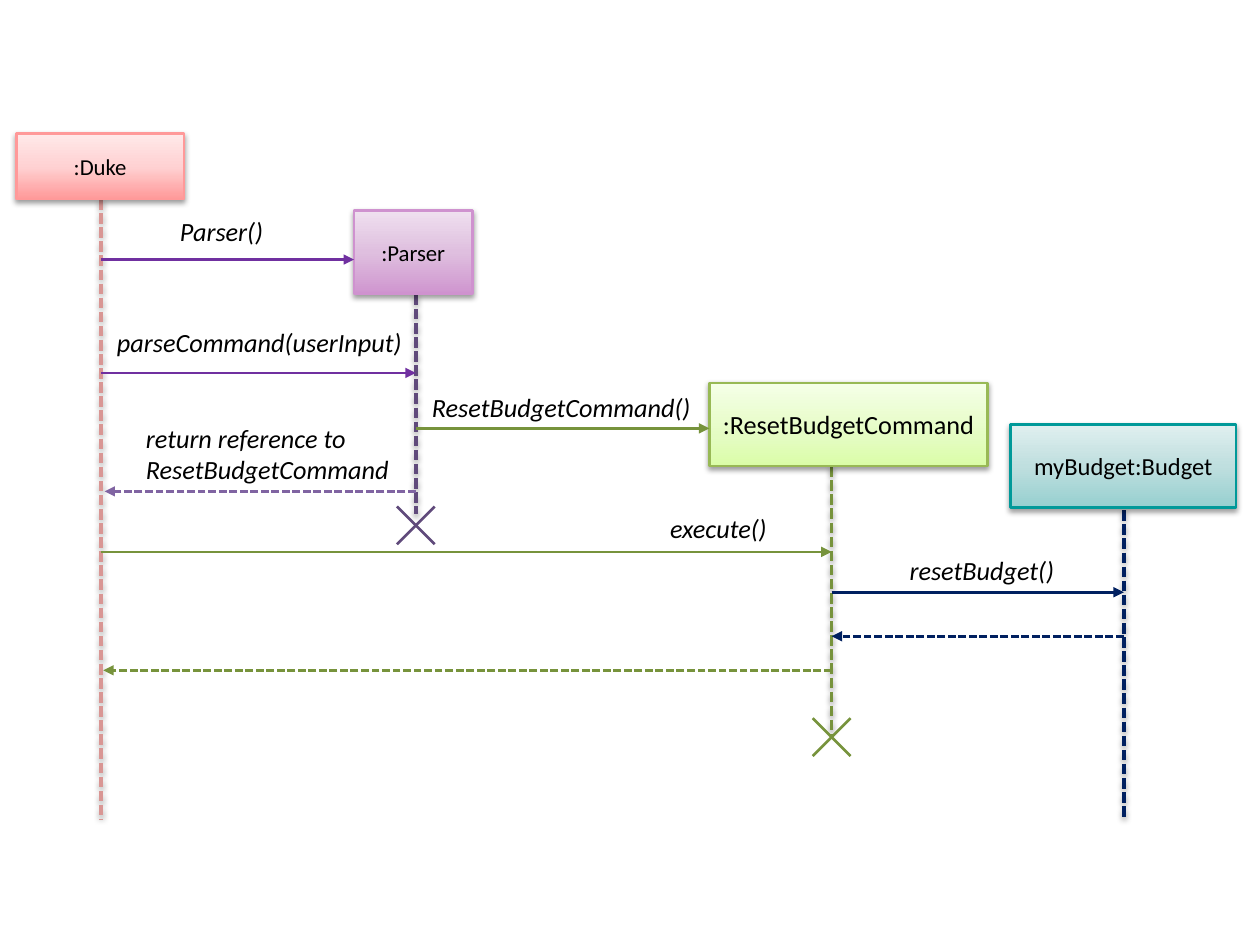
"""Build a sequence diagram slide for resetting a budget."""
import dataclasses

import lxml.etree
import pptx
import pptx.dml.color
import pptx.enum.dml
import pptx.enum.shapes
import pptx.enum.text
import pptx.oxml.ns
import pptx.util


@dataclasses.dataclass(frozen=True)
class Theme:
    font: str = "Calibri"
    ink: str = "000000"
    small: int = 13
    medium: int = 14
    large: int = 15
    thin: float = 1.5
    thick: float = 2
    rose: str = "D99694"
    purple: str = "604A7B"
    violet: str = "7030A0"
    lilac: str = "8064A2"
    green: str = "77933C"
    navy: str = "002060"
    duke: tuple = ("FF9999", ((0, "FF9999"), (50, "FFD2D3"), (100, "FFE9E9")))
    parser: tuple = ("CF92CF", ((0, "CF95CF"), (50, "DFBFDF"), (100, "EFE0EF")))
    command: tuple = ("98B955", ((0, "DAFDA7"), (35, "E4FCC2"), (100, "F5FFE7")))
    budget: tuple = ("009999", ((0, "95CFCF"), (50, "BFDFDF"), (100, "E0EFEF")))


THEME = Theme()
COLUMNS, ROWS = 100, 75
WIDTH, HEIGHT = pptx.util.Inches(10), pptx.util.Inches(7.5)
DUKE, PARSER, COMMAND, BUDGET = 8, 33, 66, 89.2


def across(columns):
    return round(WIDTH * columns / COLUMNS)


def down(rows):
    return round(HEIGHT * rows / ROWS)


def place(left, top, width, height):
    return across(left), down(top), across(width), down(height)


def rgb(value):
    return pptx.dml.color.RGBColor.from_string(value)


def add_xml(parent, tag, **attributes):
    return lxml.etree.SubElement(parent, pptx.oxml.ns.qn(tag), attributes)


def set_effect(shape, shadow):
    effects = add_xml(shape._element.spPr, "a:effectLst")
    if shadow:
        outer = add_xml(effects, "a:outerShdw", blurRad="40000", dist="20000",
                        dir="5400000", rotWithShape="0")
        color = add_xml(outer, "a:srgbClr", val=THEME.ink)
        add_xml(color, "a:alpha", val="38000")


def set_text(shape, text, size=THEME.large, italic=False, wrap=True, inset=0.5,
             align=pptx.enum.text.PP_ALIGN.LEFT,
             anchor=pptx.enum.text.MSO_ANCHOR.TOP):
    frame = shape.text_frame
    frame.word_wrap = wrap
    frame.vertical_anchor = anchor
    frame.margin_left = frame.margin_right = across(1)
    frame.margin_top = frame.margin_bottom = down(inset)
    paragraph = frame.paragraphs[0]
    paragraph.alignment = align
    run = paragraph.add_run()
    run.text = text
    run.font.name = THEME.font
    run.font.size = pptx.util.Pt(size)
    run.font.italic = italic
    run.font.color.rgb = rgb(THEME.ink)


def add_label(slide, text, *box):
    set_text(slide.shapes.add_textbox(*place(*box)), text, italic=True)


def add_line(slide, start, end, color, width=THEME.thin, dashed=False,
             arrow=False, shadow=False):
    connector = slide.shapes.add_connector(
        pptx.enum.shapes.MSO_CONNECTOR.STRAIGHT,
        across(start[0]), down(start[1]), across(end[0]), down(end[1]))
    connector.line.color.rgb = rgb(color)
    connector.line.width = pptx.util.Pt(width)
    if dashed:
        connector.line.dash_style = pptx.enum.dml.MSO_LINE.SQUARE_DOT
    if arrow:
        add_xml(connector.line._get_or_add_ln(), "a:tailEnd", type="triangle")
    set_effect(connector, shadow)


def add_lifeline(slide, column, top, bottom, color):
    add_line(slide, (column, top), (column, bottom), color, THEME.thick,
             dashed=True, shadow=True)


def add_message(slide, start, end, row, color, dashed=False):
    add_line(slide, (start, row), (end, row), color, dashed=dashed, arrow=True)


def add_cross(slide, column, row, color, reach=1.5):
    for rise in (-reach, reach):
        add_line(slide, (column - reach, row - rise),
                 (column + reach, row + rise), color)


def add_participant(slide, text, box, colors, **text_format):
    shape = slide.shapes.add_shape(
        pptx.enum.shapes.MSO_SHAPE.RECTANGLE, *place(*box))
    border, stops = colors
    shape.fill.gradient()
    shape.fill.gradient_angle = 90
    stop_list = shape._element.spPr.find(".//" + pptx.oxml.ns.qn("a:gsLst"))
    for stop in list(stop_list):
        stop_list.remove(stop)
    for position, color in stops:
        stop = add_xml(stop_list, "a:gs", pos=str(position * 1000))
        add_xml(stop, "a:srgbClr", val=color)
    shape.line.color.rgb = rgb(border)
    shape.line.width = pptx.util.Pt(THEME.thin)
    set_effect(shape, shadow=True)
    set_text(shape, text, wrap=False, align=pptx.enum.text.PP_ALIGN.CENTER,
             **text_format)


def main():
    presentation = pptx.Presentation()
    presentation.slide_width, presentation.slide_height = WIDTH, HEIGHT
    slide = presentation.slides.add_slide(presentation.slide_layouts[6])
    middle = pptx.enum.text.MSO_ANCHOR.MIDDLE

    for column, top, bottom, color in (
            (DUKE, 15.8, 65, THEME.rose),
            (PARSER, 23.4, 40.8, THEME.purple),
            (COMMAND, 37, 58.3, THEME.green),
            (BUDGET, 40.5, 65, THEME.navy)):
        add_lifeline(slide, column, top, bottom, color)

    add_participant(slide, ":ResetBudgetCommand", (56.3, 30.4, 22.1, 6.6),
                    THEME.command, inset=2)
    add_participant(slide, ":Duke", (1.3, 10.6, 13.3, 5.2), THEME.duke,
                    size=THEME.small, anchor=middle)
    add_participant(slide, ":Parser", (28.1, 16.7, 9.4, 6.6), THEME.parser,
                    size=THEME.small, anchor=middle)
    add_participant(slide, "myBudget:Budget", (80.2, 33.7, 17.9, 6.6),
                    THEME.budget, size=THEME.medium, anchor=middle)

    for start, end, row, color in (
            (DUKE, 28.1, 20.6, THEME.violet),
            (DUKE, PARSER, 29.6, THEME.violet),
            (PARSER, 56.3, 34, THEME.green),
            (DUKE, COMMAND, 43.8, THEME.green),
            (COMMAND, BUDGET, 47, THEME.navy)):
        add_message(slide, start, end, row, color)

    for start, end, row, color in (
            (PARSER, 8.3, 39, THEME.lilac),
            (BUDGET, COMMAND, 50.5, THEME.navy),
            (COMMAND, 8.2, 53.2, THEME.green)):
        add_message(slide, start, end, row, color, dashed=True)

    add_cross(slide, PARSER, 41.7, THEME.purple)
    add_cross(slide, COMMAND, 58.5, THEME.green)

    for text, left, top, width, height in (
            ("Parser()", 13.3, 16.6, 12.9, 3.5),
            ("parseCommand(userInput)", 8.3, 25.4, 27.3, 3.5),
            ("ResetBudgetCommand()", 33.3, 30.6, 22.7, 3.5),
            ("return reference to ResetBudgetCommand", 10.6, 33, 21.4, 6.1),
            ("execute()", 52.2, 40.2, 9.7, 3.5),
            ("resetBudget()", 71.2, 43.5, 19.1, 3.5)):
        add_label(slide, text, left, top, width, height)

    presentation.save("out.pptx")


main()
